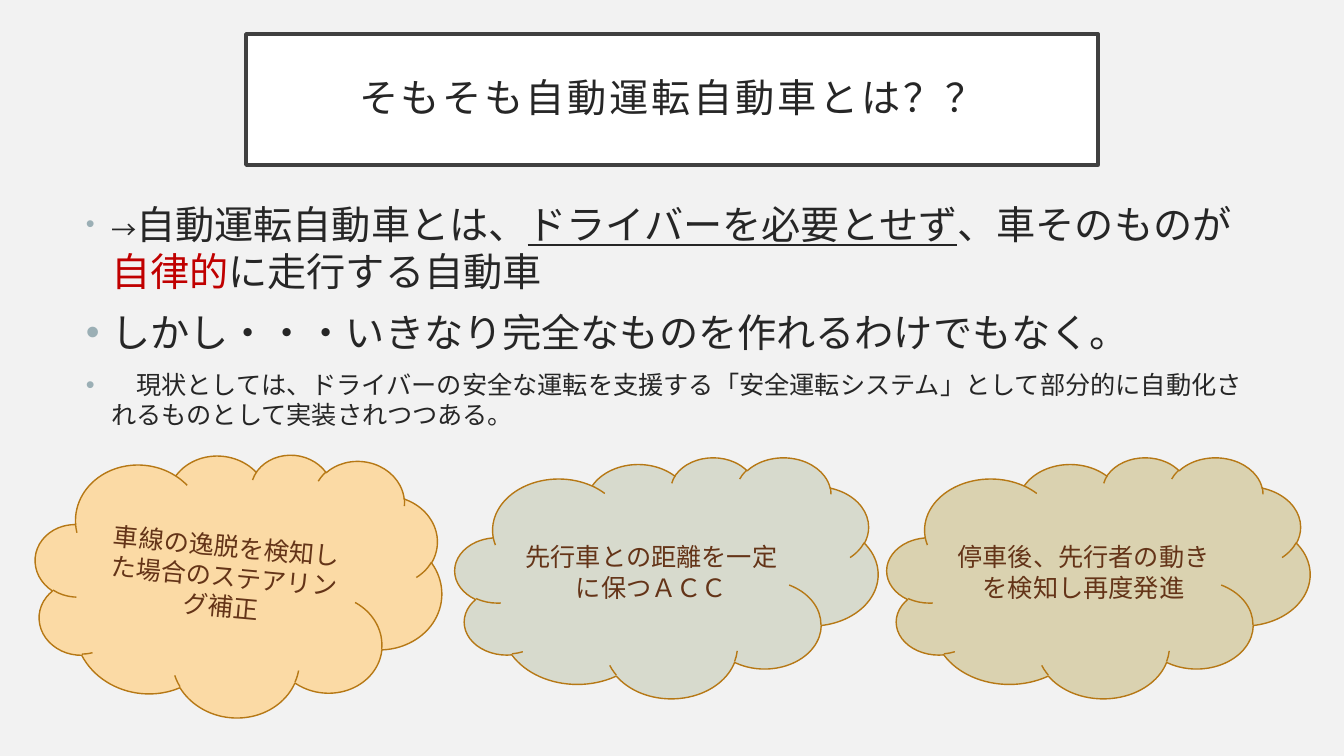
from dataclasses import dataclass

import lxml.etree
import pptx
import pptx.dml.color
import pptx.enum.shapes
import pptx.enum.text
import pptx.oxml.ns
import pptx.util

EMU_PER_PX = 914400 / 100.8
FONT = "Calibri"
INK = "262626"
BULLET_COLOUR = "9BAFB5"
CLOUD_LINE = "B67815"
CLOUD_TEXT = "643418"


@dataclass(frozen=True)
class Box:
    left: int
    top: int
    width: int
    height: int

    def emu(self) -> list[int]:
        return [px(n) for n in (self.left, self.top, self.width, self.height)]


@dataclass(frozen=True)
class Span:
    text: str
    size: int = 28
    colour: str = INK
    underline: bool = False


@dataclass(frozen=True)
class Cloud:
    text: str
    fill: str
    box: Box
    rotation: float = 0


TITLE = "そもそも自動運転自動車とは？？"
POINTS = [
    [
        Span("→", size=18),
        Span("自動運転自動車とは、"),
        Span("ドライバーを必要とせず", underline=True),
        Span("、車そのものが"),
        Span("自律的", colour="C00000"),
        Span("に走行する自動車"),
    ],
    [Span("しかし・・・いきなり完全なものを作れるわけでもなく。")],
    [Span("　現状としては、ドライバーの安全な運転を支援する「安全運転システム」"
          "として部分的に自動化されるものとして実装されつつある。", size=18)],
]
CLOUDS = [
    Cloud("車線の逸脱を検知した場合のステアリング補正", "FBDAA5",
          Box(34, 450, 408, 267), rotation=5.2),
    Cloud("先行車との距離を一定に保つＡＣＣ", "D7DACD", Box(455, 457, 423, 241)),
    Cloud("停車後、先行者の動きを検知し再度発進", "DAD2B0", Box(887, 457, 423, 241)),
]


def px(length: int) -> int:
    return round(length * EMU_PER_PX)


def rgb(value: str) -> pptx.dml.color.RGBColor:
    return pptx.dml.color.RGBColor.from_string(value)


def paint(shape, fill: str, line: str, line_width: float) -> None:
    shape.fill.solid()
    shape.fill.fore_color.rgb = rgb(fill)
    shape.line.color.rgb = rgb(line)
    shape.line.width = pptx.util.Pt(line_width)


def set_font(font, size: int, colour: str) -> None:
    font.name = FONT
    font.size = pptx.util.Pt(size)
    font.color.rgb = rgb(colour)


def add_bullet(paragraph) -> None:
    properties = paragraph._p.get_or_add_pPr()
    properties.set("marL", str(pptx.util.Inches(0.25)))
    properties.set("indent", str(-pptx.util.Inches(0.25)))
    qn = pptx.oxml.ns.qn
    colour = lxml.etree.SubElement(properties, qn("a:buClr"))
    lxml.etree.SubElement(colour, qn("a:srgbClr")).set("val", BULLET_COLOUR)
    lxml.etree.SubElement(properties, qn("a:buFont")).set("typeface", "Arial")
    lxml.etree.SubElement(properties, qn("a:buChar")).set("char", "•")


def format_title(title) -> None:
    title.left, title.top, title.width, title.height = Box(246, 34, 852, 131).emu()
    paint(title, "FFFFFF", "404040", 2.5)
    frame = title.text_frame
    frame.text = TITLE
    frame.word_wrap = True
    frame.auto_size = pptx.enum.text.MSO_AUTO_SIZE.NONE
    frame.vertical_anchor = pptx.enum.text.MSO_ANCHOR.MIDDLE
    frame.margin_left = frame.margin_right = px(20)
    frame.margin_top = frame.margin_bottom = px(20)
    paragraph = frame.paragraphs[0]
    paragraph.alignment = pptx.enum.text.PP_ALIGN.CENTER
    paragraph.line_spacing = 0.9
    set_font(paragraph.font, 28, INK)
    # Letter spacing, in hundredths of a point
    paragraph.runs[0]._r.get_or_add_rPr().set("spc", "200")


def add_points(slide, points: list[list[Span]]) -> None:
    frame = slide.shapes.add_textbox(*Box(76, 195, 1193, 561).emu()).text_frame
    frame.word_wrap = True
    for index, spans in enumerate(points):
        paragraph = frame.add_paragraph() if index else frame.paragraphs[0]
        add_bullet(paragraph)
        if index:
            paragraph.space_before = pptx.util.Pt(10)
        set_font(paragraph.font, spans[-1].size, INK)
        for span in spans:
            run = paragraph.add_run()
            run.text = span.text
            if span.size != spans[-1].size:
                run.font.size = pptx.util.Pt(span.size)
            if span.colour != INK:
                run.font.color.rgb = rgb(span.colour)
            if span.underline:
                run.font.underline = True


def add_cloud(slide, cloud: Cloud) -> None:
    shape = slide.shapes.add_shape(
        pptx.enum.shapes.MSO_SHAPE.CLOUD, *cloud.box.emu())
    shape.rotation = cloud.rotation
    shape.shadow.inherit = False
    paint(shape, cloud.fill, CLOUD_LINE, 1)
    frame = shape.text_frame
    frame.text = cloud.text
    frame.word_wrap = True
    frame.vertical_anchor = pptx.enum.text.MSO_ANCHOR.MIDDLE
    paragraph = frame.paragraphs[0]
    paragraph.alignment = pptx.enum.text.PP_ALIGN.CENTER
    set_font(paragraph.font, 18, CLOUD_TEXT)


def main() -> None:
    deck = pptx.Presentation()
    deck.slide_width, deck.slide_height = px(1344), px(756)
    slide = deck.slides.add_slide(deck.slide_layouts.get_by_name("Title Only"))
    slide.background.fill.solid()
    slide.background.fill.fore_color.rgb = rgb("F2F2F2")
    format_title(slide.shapes.title)
    add_points(slide, POINTS)
    for cloud in CLOUDS:
        add_cloud(slide, cloud)
    deck.save("out.pptx")


if __name__ == "__main__":
    main()
